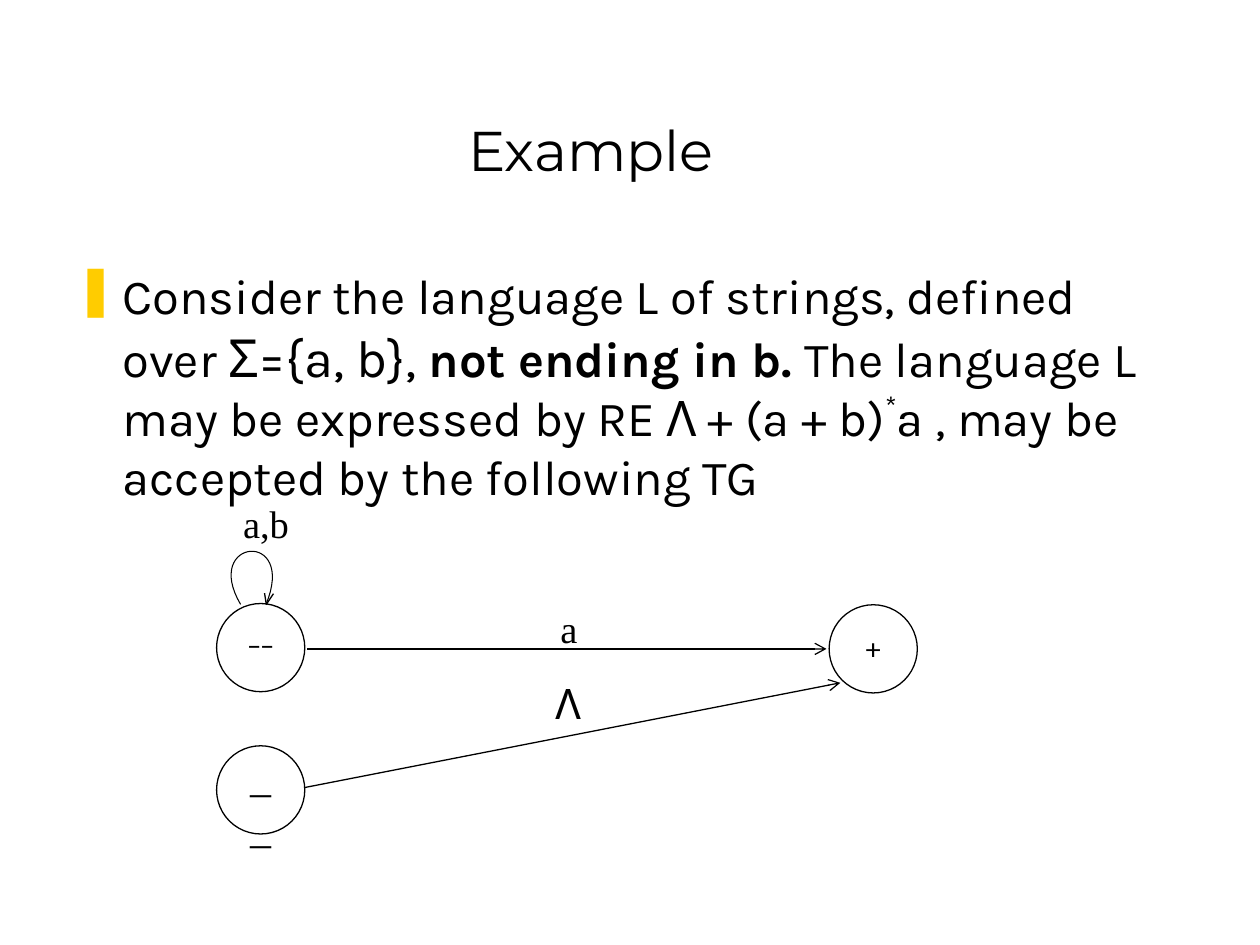
"""Build a slide with a transition graph for strings not ending in b."""
from lxml.etree import SubElement
from pptx import Presentation
from pptx.dml.color import RGBColor
from pptx.enum.shapes import MSO_CONNECTOR, MSO_SHAPE
from pptx.enum.text import MSO_ANCHOR, PP_ALIGN
from pptx.oxml.ns import qn
from pptx.util import Pt

BLACK, WHITE, GOLD = "000000", "FFFFFF", "FFCC00"
DIAMETER = 50.4


def color(hex_string):
    """Return the colour for a hex string."""
    return RGBColor.from_string(hex_string)


def write_text(shape, runs, size, font, align=PP_ALIGN.LEFT,
               anchor=MSO_ANCHOR.TOP, wrap=True, bullet=None):
    """Write runs, each a text and a dict of overrides, into a shape."""
    frame = shape.text_frame
    frame.word_wrap = wrap
    frame.vertical_anchor = anchor
    paragraph = frame.paragraphs[0]
    paragraph.alignment = align
    if bullet:
        add_bullet(paragraph, bullet, GOLD, 27)
    for text, style in runs:
        run = paragraph.add_run()
        run.text = text
        run.font.name = font
        run.font.size = Pt(style.get("size", size))
        run.font.bold = style.get("bold", False)
        run.font.color.rgb = color(BLACK)
        if "baseline" in style:
            run.font._element.set("baseline", str(style["baseline"] * 1000))


def add_bullet(paragraph, character, hex_string, indent):
    """Give a paragraph a coloured bullet with a hanging indent."""
    properties = paragraph._p.get_or_add_pPr()
    properties.set("marL", str(Pt(indent)))
    properties.set("indent", str(-Pt(indent)))
    bullet_color = SubElement(properties, qn("a:buClr"))
    SubElement(bullet_color, qn("a:srgbClr"), val=hex_string)
    SubElement(properties, qn("a:buChar"), char=character)


def add_text(slide, box, text, size, font, **style):
    """Add a text box holding one text or a list of runs."""
    shape = slide.shapes.add_textbox(*map(Pt, box))
    runs = [(text, {})] if isinstance(text, str) else text
    write_text(shape, runs, size, font, **style)


def add_state(slide, left, top):
    """Add the circle of one state."""
    circle = slide.shapes.add_shape(
        MSO_SHAPE.OVAL, Pt(left), Pt(top), Pt(DIAMETER), Pt(DIAMETER))
    circle.shadow.inherit = False
    circle.fill.solid()
    circle.fill.fore_color.rgb = color(WHITE)
    circle.line.color.rgb = color(BLACK)
    circle.line.width = Pt(0.75)
    return circle


def add_labelled_state(slide, left, top, label):
    """Add a state with a wide text box laid over it."""
    add_state(slide, left, top)
    add_text(slide, (left - 10, top - 1, 70.4, 49), label, 16, "Karla",
             align=PP_ALIGN.CENTER, anchor=MSO_ANCHOR.MIDDLE)


def add_arrow(slide, start, end):
    """Add a straight transition with an open arrowhead."""
    arrow = slide.shapes.add_connector(
        MSO_CONNECTOR.STRAIGHT, *map(Pt, start + end))
    arrow.line.color.rgb = color(BLACK)
    arrow.line.width = Pt(0.75)
    SubElement(arrow.line._get_or_add_ln(), qn("a:tailEnd"), type="arrow")
    SubElement(arrow._element.spPr, qn("a:effectLst"))


def add_stroke(slide, points, width):
    """Add an open unfilled outline through the points."""
    start, *rest = [(Pt(x), Pt(y)) for x, y in points]
    builder = slide.shapes.build_freeform(*start)
    builder.add_line_segments(rest, close=False)
    stroke = builder.convert_to_shape()
    stroke.shadow.inherit = False
    stroke.fill.background()
    stroke.line.color.rgb = color(BLACK)
    stroke.line.width = Pt(width)


def bezier(controls, steps=32):
    """Return points along a cubic curve."""
    points = []
    for step in range(steps + 1):
        t = step / steps
        weights = ((1 - t) ** 3, 3 * t * (1 - t) ** 2,
                   3 * t ** 2 * (1 - t), t ** 3)
        points.append(tuple(sum(weight * value for weight, value
                                in zip(weights, axis))
                            for axis in zip(*controls)))
    return points


def add_loop(slide):
    """Add the loop on the first state and its arrowhead."""
    curve = [(137.5, 345.4), (115.2, 307.5), (169.9, 302.4), (152, 345.4)]
    add_stroke(slide, bezier(curve), 0.6)
    add_stroke(slide, [(156.3, 339.3), (152.2, 345.4), (151.2, 339)], 0.75)


def main():
    """Build and save the slide."""
    presentation = Presentation()
    presentation.slide_width, presentation.slide_height = Pt(720), Pt(540)
    slide = presentation.slides.add_slide(presentation.slide_layouts[6])

    add_text(slide, (31.7, 18, 612, 90), "Example", 32, "Montserrat",
             align=PP_ALIGN.CENTER, anchor=MSO_ANCHOR.BOTTOM)
    add_text(slide, (36, 148.3, 643.7, 151.2), [
        ("Consider the language L of strings, defined over ", {}),
        ("Σ={a, b},", {"size": 30}),
        (" ", {}),
        ("not ending in b. ", {"bold": True}),
        ("The language L may be expressed by RE Λ + (a + b)", {}),
        ("*", {"baseline": 40}),
        ("a , may be accepted by the following TG", {}),
    ], 28, "Karla", bullet="❚")

    add_arrow(slide, (175.7, 370.8), (472.3, 370.8))
    add_arrow(slide, (174.2, 450), (480.2, 390.2))
    add_labelled_state(slide, 123.8, 344.9, "––")
    add_labelled_state(slide, 473.8, 345.6, "+")
    start_state = add_state(slide, 123.8, 426.2)
    write_text(start_state, [("––", {})], 24, "Times New Roman",
               align=PP_ALIGN.CENTER)
    add_loop(slide)

    for left, top, label in ((313.2, 342, "a"), (131.8, 282.2, "a,b")):
        add_text(slide, (left, top, 98.6, 36.7), label, 22, "Times New Roman")
    add_text(slide, (310.3, 383.8, 28.8, 36), "Λ", 24, "Karla",
             align=PP_ALIGN.CENTER, wrap=False)

    presentation.save("out.pptx")


if __name__ == "__main__":
    main()
